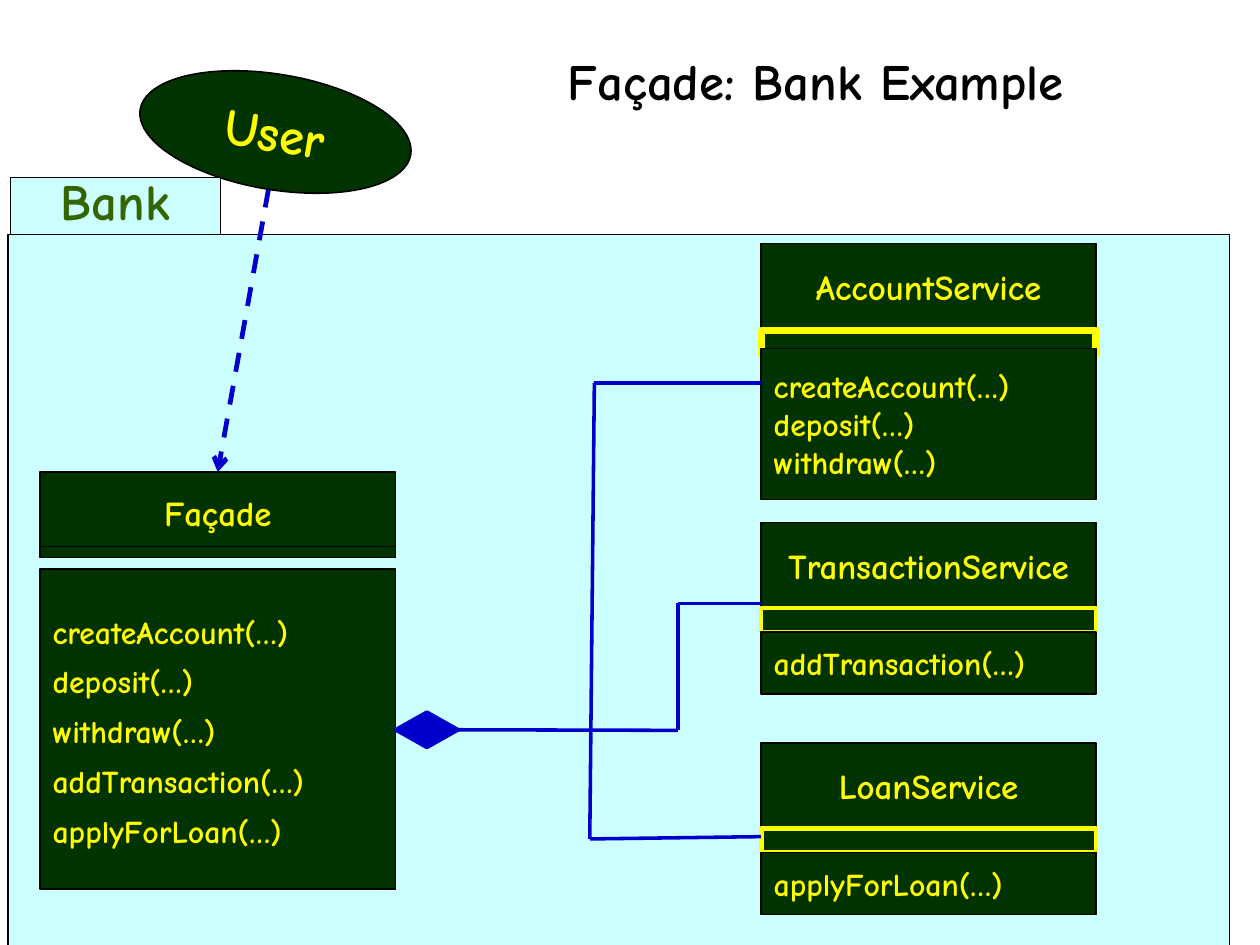
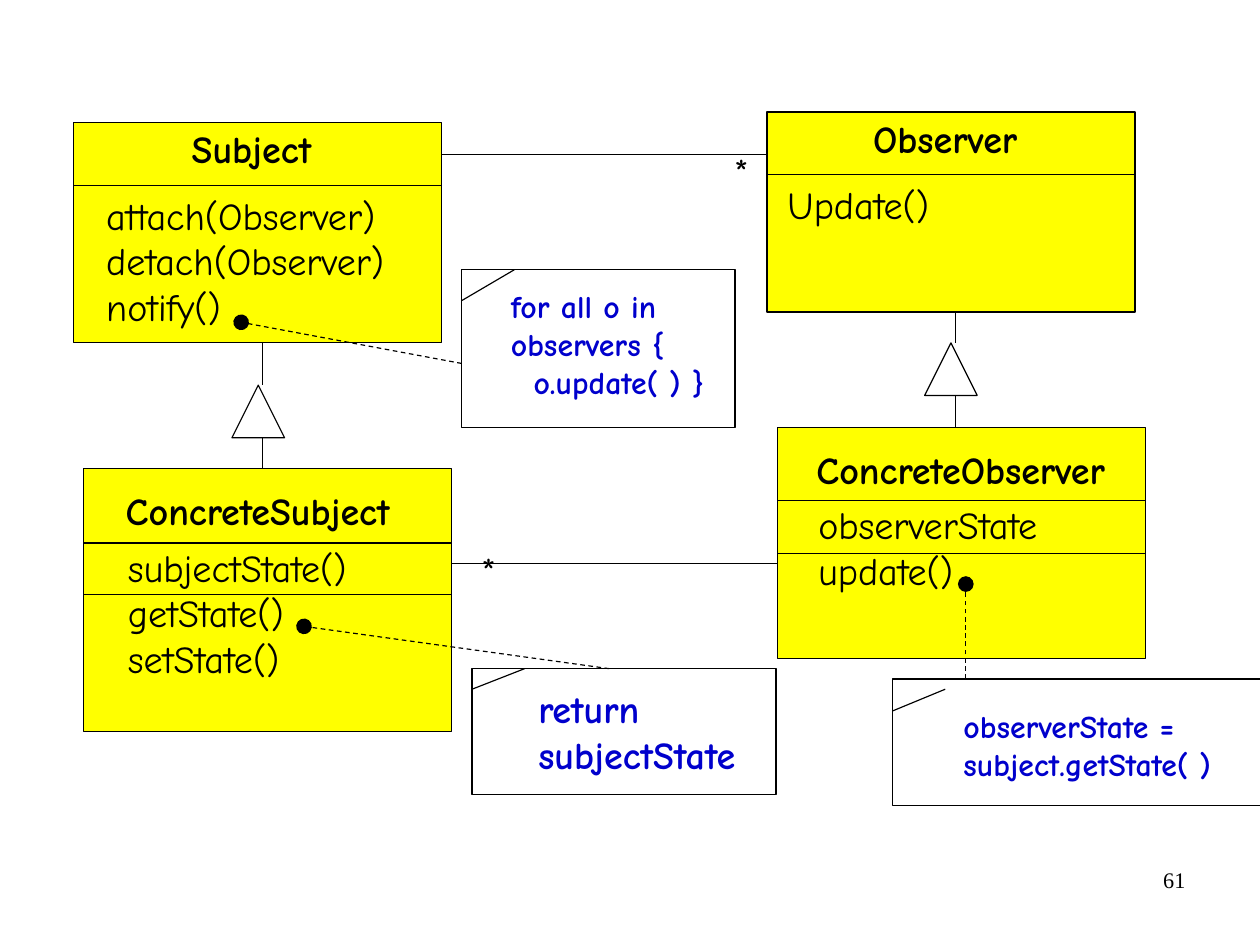
from dataclasses import dataclass

from lxml import etree
from pptx import Presentation
from pptx.dml.color import RGBColor
from pptx.enum import dml, shapes, text
from pptx.oxml import ns
from pptx.util import Inches, Pt

SHAPE = shapes.MSO_SHAPE
ALIGN = text.PP_ALIGN


@dataclass(frozen=True)
class Theme:
    font: str = "Comic Neue"
    number_font: str = "Times New Roman"
    black: str = "000000"
    green: str = "003300"
    tab_green: str = "336600"
    cyan: str = "CCFFFF"
    yellow: str = "FFFF00"
    blue: str = "0000CC"
    title: int = 32
    heading: int = 24
    service: int = 22
    method: int = 20
    number: int = 14
    thin: float = 0.75
    medium: float = 1
    link: float = 2.25


T = Theme()
INSETS = (0.11, 0.06)
CM = 1 / 2.54


# Shared building blocks
def rgb(value):
    return RGBColor.from_string(value)


def write(tf, content, *, size=T.heading, color=T.black, font=T.font, bold=False,
          align=ALIGN.LEFT, anchor=text.MSO_ANCHOR.MIDDLE, insets=INSETS,
          wrap=False, grow=False, spacing=None, gap=0):
    """Write one paragraph per line of content."""
    tf.auto_size = (text.MSO_AUTO_SIZE.SHAPE_TO_FIT_TEXT if grow
                    else text.MSO_AUTO_SIZE.NONE)
    tf.word_wrap = wrap
    tf.vertical_anchor = anchor
    tf.margin_left = tf.margin_right = Inches(insets[0])
    tf.margin_top = tf.margin_bottom = Inches(insets[1])
    for i, line_text in enumerate(content.split("\n")):
        p = tf.paragraphs[0] if i == 0 else tf.add_paragraph()
        p.alignment = align
        if spacing:
            p.line_spacing = spacing
        p.space_before = Pt(gap if i else 0)
        p.space_after = Pt(gap)
        r = p.add_run()
        r.text = line_text
        r.font.name, r.font.size, r.font.bold = font, Pt(size), bold
        r.font.color.rgb = rgb(color)


def box(s, x, y, w, h, fill=None, line=T.black, weight=T.thin, kind=SHAPE.RECTANGLE):
    sp = s.shapes.add_shape(kind, Inches(x), Inches(y), Inches(w), Inches(h))
    sp.shadow.inherit = False
    if fill:
        sp.fill.solid()
        sp.fill.fore_color.rgb = rgb(fill)
    else:
        sp.fill.background()
    sp.line.color.rgb = rgb(line)
    sp.line.width = Pt(weight)
    return sp


def label(s, x, y, w, h, content, **fmt):
    tb = s.shapes.add_textbox(Inches(x), Inches(y), Inches(w), Inches(h))
    write(tb.text_frame, content, **fmt)


def listing(s, x, y, w, h, content, **fmt):
    label(s, x, y, w, h, content, anchor=text.MSO_ANCHOR.TOP, grow=True, **fmt)


def line(s, start, end, color=T.black, weight=T.thin, dashed=False, tail=None,
         tail_size="med"):
    cx = s.shapes.add_connector(shapes.MSO_CONNECTOR.STRAIGHT,
                                *map(Inches, (*start, *end)))
    cx.line.color.rgb = rgb(color)
    cx.line.width = Pt(weight)
    if dashed:
        cx.line.dash_style = dml.MSO_LINE.DASH
    if tail:
        etree.SubElement(cx.line._get_or_add_ln(), ns.qn("a:tailEnd"), type=tail,
                         w=tail_size, len=tail_size)
    etree.SubElement(cx._element.spPr, ns.qn("a:effectLst"))
    return cx


# Bank slide
def service_class(s, x, y, w, name, methods, header, strip, body, **fmt):
    """Header, strip and method boxes; strip and body are (offset, height)."""
    dy, h, color, weight = strip
    head = box(s, x, y, w, header, T.green, weight=T.medium)
    write(head.text_frame, name, size=T.service, color=T.yellow, bold=True,
          align=ALIGN.CENTER)
    box(s, x, y + dy, w, h, T.green, color, weight)
    methods_box = box(s, x, y + body[0], w, body[1], T.green, weight=T.medium)
    write(methods_box.text_frame, methods, size=T.method, color=T.yellow,
          bold=True, **fmt)
    return head


def blue_route(s, *points):
    return [line(s, a, b, T.blue, T.link) for a, b in zip(points, points[1:])]


def bank_slide(prs):
    s = prs.slides.add_slide(prs.slide_layouts[5])
    box(s, 0.07, 2.05, 10.69, 6.22, T.cyan)

    # Title
    title = s.shapes.title
    title.left, title.top, title.width, title.height = map(
        Inches, (3.93, 0.37, 6.42, 0.73))
    write(title.text_frame, "Façade: Bank Example", size=T.title, bold=True,
          align=ALIGN.CENTER, insets=(0, 0), wrap=True, spacing=0.88)

    # Façade and its user
    facade = service_class(
        s, 0.35, 4.13, 3.11, "Façade",
        "createAccount(…)\ndeposit(…)\nwithdraw(…)\naddTransaction(…)\napplyForLoan(…)",
        0.71, (0.65, 0.1, T.black, T.medium), (0.85, 2.8), spacing=1.1, gap=2.5)
    use = line(s, (2.35, 1.65), (1.93, 4.11), T.blue, 3, True, "arrow")
    use.end_connect(facade, 0)
    user = box(s, 1.21, 0.65, 2.4, 1.01, T.green, weight=T.medium, kind=SHAPE.OVAL)
    user.rotation = 9.5
    write(user.text_frame, "User", size=T.title, color=T.yellow, bold=True,
          align=ALIGN.CENTER)

    # Services
    for y, name, calls, strip, weight, body in (
            (2.13, "AccountService", "createAccount(…)\ndeposit(…)\nwithdraw(…)",
             0.76, 4.5, (0.92, 1.32)),
            (4.57, "TransactionService", "addTransaction(…)", 0.75, 2.25, (0.96, 0.54)),
            (6.5, "LoanService", "applyForLoan(…)", 0.75, 3, (0.96, 0.54))):
        service_class(s, 6.66, y, 2.93, name, calls, 0.75,
                      (strip, 0.21, T.yellow, weight), body)

    # Aggregation
    diamond = box(s, 3.46, 6.23, 0.55, 0.31, T.blue, T.blue, T.link, SHAPE.DIAMOND)
    trunk = blue_route(s, (4.01, 6.39), (5.93, 6.39), (5.93, 5.28), (6.66, 5.28))
    trunk[0].begin_connect(diamond, 3)
    blue_route(s, (6.66, 3.35), (5.2, 3.35), (5.16, 7.34), (6.66, 7.32))

    # Package tab
    tab = box(s, 0.09, 1.55, 1.84, 0.5, T.cyan)
    write(tab.text_frame, "Bank", size=T.title, color=T.tab_green, bold=True,
          align=ALIGN.CENTER, insets=(0.1, 0.05), wrap=True, spacing=0.8)


# Observer slide
def uml_class(s, x, y, h, name, heading, members, place, rules):
    """heading is (offset, width, height); place is the member list's box."""
    w = 3.22
    box(s, x, y, w, h, T.yellow)
    dx, name_w, name_h = heading
    label(s, x + dx, y, name_w, name_h, name, bold=True, align=ALIGN.CENTER)
    dx, dy, list_w, list_h = place
    listing(s, x + dx, y + dy, list_w, list_h, members)
    for dy in rules:
        line(s, (x, y + dy), (x + w, y + dy))


def inheritance(s, x, top, tip, bottom):
    side = 0.46
    box(s, x - 0.27, tip, side, side, kind=SHAPE.ISOSCELES_TRIANGLE)
    line(s, (x, top), (x, tip))
    line(s, (x, tip + side), (x, bottom))


def note(s, x, y, w, h, code, place, fold, pointer, dot, size=T.method):
    """fold is (top, bottom) of the corner line; pointer is its offset."""
    box(s, x, y, w, h)
    line(s, (x + 0.46, y + fold[0]), (x, y + fold[1]))
    dx, dy, code_w, code_h = place
    listing(s, x + dx, y + dy, code_w, code_h, code, size=size, color=T.blue,
            bold=True)
    line(s, (x + pointer[0], y + pointer[1]), dot, dashed=True, tail="oval",
         tail_size="lg")


def association(s, start, end, star):
    line(s, start, end)
    listing(s, *star, 0.41, 0.51, "*", wrap=True)


def page_number(s, number):
    label(s, 7.9, 7.53, 2.57, 0.57, number, size=T.number, font=T.number_font,
          align=ALIGN.RIGHT, anchor=text.MSO_ANCHOR.TOP, insets=(0.1, 0.05),
          wrap=True)


def observer_slide(prs):
    s = prs.slides.add_slide(prs.slide_layouts[6])
    page_number(s, "61")

    # Classes
    uml_class(s, 0.64, 1.07, 1.93, "Subject", (0.55, 2.02, 0.46),
              "attach(Observer)\ndetach(Observer)\nnotify()",
              (0.18, 0.55, 2.67, 1.31), (0.55,))
    uml_class(s, 6.71, 0.98, 1.75, "Observer", (0.55, 2.02, 0.46),
              "Update()", (0.07, 0.55, 1.47, 0.51), (0.55,))
    uml_class(s, 0.73, 4.1, 2.3, "ConcreteSubject", (0.56, 1.93, 0.73),
              "subjectState()\ngetState()\nsetState()",
              (0.28, 0.6, 2.15, 1.31), (0.65, 1.1))
    uml_class(s, 6.8, 3.74, 2.02, "ConcreteObserver", (0.09, 3.03, 0.73),
              "observerState\nupdate()", (0.25, 0.59, 2.17, 0.91), (0.64, 1.1))

    # Relations
    inheritance(s, 2.3, 3, 3.37, 4.1)
    inheritance(s, 8.36, 2.73, 3, 3.74)
    association(s, (3.86, 1.35), (6.71, 1.35), (6.31, 1.24))
    association(s, (3.95, 4.93), (6.8, 4.93), (4.1, 4.73))

    # Code notes
    note(s, 7.81, 5.94, 3.22, 1.11, "observerState =\nsubject.getState( )",
         (0.51, 0.18, 2.4, 0.78), (0.09, 0.28), (0.64, 0), (8.45, 5.11))
    note(s, 4.13, 5.85, 2.66, 1.1, "return\nsubjectState",
         (0.47, 0.09, 1.96, 0.91), (0, 0.18), (1.2, 0), (2.66, 5.48), T.heading)
    note(s, 4.04, 2.36, 2.39, 1.38, "for all o in\nobservers {\n  o.update( ) }",
         (0.32, 0.09, 1.92, 1.11), (0, 0.27), (0, 0.82), (2.11, 2.82))


def main():
    prs = Presentation()
    prs.slide_width, prs.slide_height = Inches(28 * CM), Inches(21 * CM)
    bank_slide(prs)
    observer_slide(prs)
    prs.save("out.pptx")


if __name__ == "__main__":
    main()
